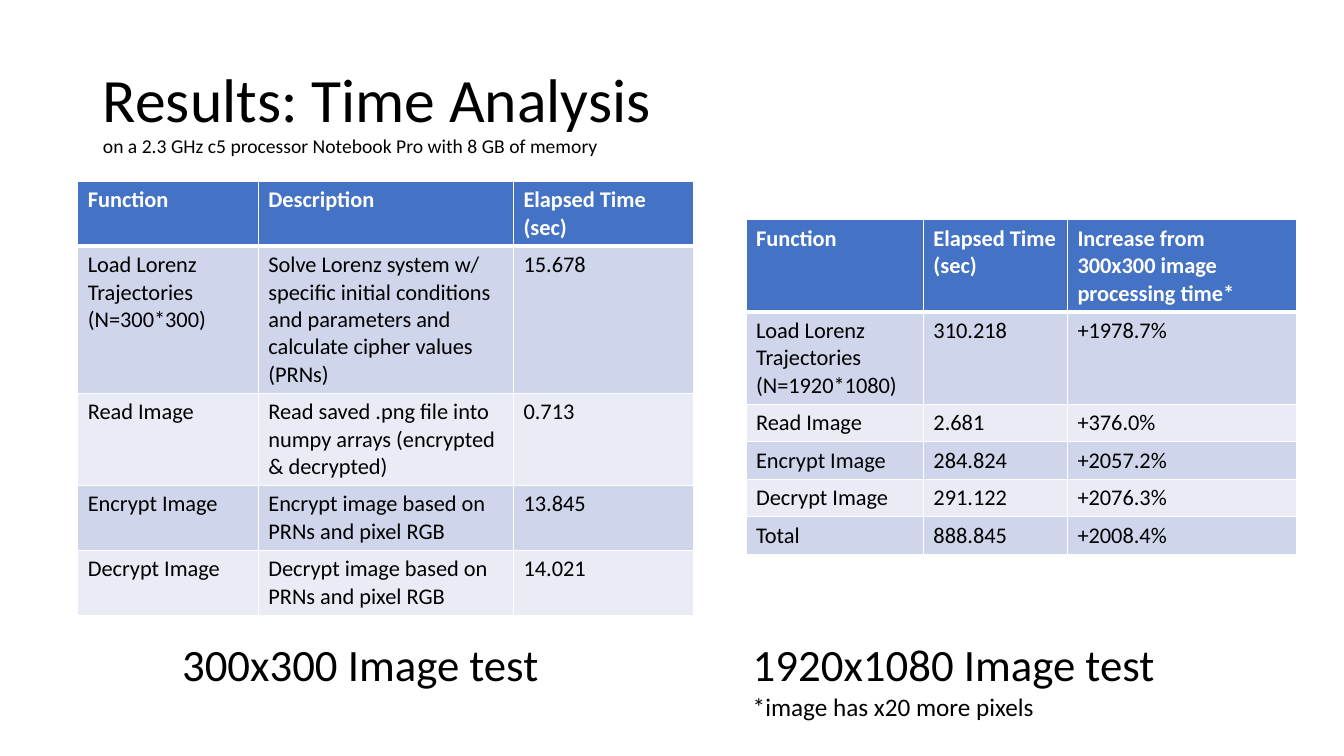
from dataclasses import dataclass

from lxml import etree
from pptx import Presentation
from pptx import util as u
from pptx.dml.color import RGBColor
from pptx.enum import text
from pptx.oxml.ns import qn


@dataclass(frozen=True)
class Theme:
    """Hold the colours, font and type sizes of the slide."""
    font: str = "Calibri"
    ink: str = "000000"
    paper: str = "FFFFFF"
    header: str = "4472C4"
    bands: tuple = ("CFD5EA", "E9EBF5")
    title: int = 44
    subtitle: int = 14
    table: int = 16
    caption: int = 32
    note: int = 18


THEME = Theme()
LINE_HEIGHT = 0.69
CELL_PADDING = 0.25

SMALL_TEST = [
    ("Function", "Description", "Elapsed Time (sec)"),
    ("Load Lorenz Trajectories (N=300*300)",
     "Solve Lorenz system w/ specific initial conditions and parameters "
     "and calculate cipher values (PRNs)", "15.678"),
    ("Read Image", "Read saved .png file into numpy arrays (encrypted & decrypted)", "0.713"),
    ("Encrypt Image", "Encrypt image based on PRNs and pixel RGB", "13.845"),
    ("Decrypt Image", "Decrypt image based on PRNs and pixel RGB", "14.021"),
]
LARGE_TEST = [
    ("Function", "Elapsed Time (sec)", "Increase from 300x300 image processing time*"),
    ("Load Lorenz Trajectories (N=1920*1080)", "310.218", "+1978.7%"),
    ("Read Image", "2.681", "+376.0%"),
    ("Encrypt Image", "284.824", "+2057.2%"),
    ("Decrypt Image", "291.122", "+2076.3%"),
    ("Total", "888.845", "+2008.4%"),
]


def style_run(run, size, colour=THEME.ink, bold=False):
    """Give a run its font, size, colour and weight."""
    run.font.name = THEME.font
    run.font.size = u.Pt(size)
    run.font.bold = bold
    run.font.color.rgb = RGBColor.from_string(colour)


def add_title(slide, left, top, width, height):
    """Fill the title placeholder with a heading and a small second line."""
    title = slide.shapes.title
    title.left, title.top = u.Cm(left), u.Cm(top)
    title.width, title.height = u.Cm(width), u.Cm(height)
    frame = title.text_frame
    frame.text = ("Results: Time Analysis\v"
                  "on a 2.3 GHz c5 processor Notebook Pro with 8 GB of memory")
    frame.word_wrap = True
    frame.auto_size = text.MSO_AUTO_SIZE.NONE
    frame.vertical_anchor = text.MSO_ANCHOR.MIDDLE
    paragraph = frame.paragraphs[0]
    paragraph.alignment = text.PP_ALIGN.LEFT
    paragraph.line_spacing = 0.9
    for run, size in zip(paragraph.runs, (THEME.title, THEME.subtitle)):
        style_run(run, size)


def add_borders(cell, top, bottom):
    """Draw paper-coloured borders, with the given top and bottom widths."""
    properties = cell._tc.get_or_add_tcPr()
    for side, width in (("L", 1), ("R", 1), ("T", top), ("B", bottom)):
        line = etree.SubElement(properties, qn(f"a:ln{side}"), w=str(u.Pt(width)))
        fill = etree.SubElement(line, qn("a:solidFill"))
        etree.SubElement(fill, qn("a:srgbClr"), val=THEME.paper)


def add_results(slide, left, top, widths, line_counts, rows):
    """Place a banded table whose row heights follow their line counts."""
    heights = [count * LINE_HEIGHT + CELL_PADDING for count in line_counts]
    table = slide.shapes.add_table(
        len(rows), len(widths), u.Cm(left), u.Cm(top),
        u.Cm(sum(widths)), u.Cm(sum(heights))).table
    for column, width in zip(table.columns, widths):
        column.width = u.Cm(width)
    for row_index, values in enumerate(rows):
        table.rows[row_index].height = u.Cm(heights[row_index])
        is_header = row_index == 0
        fill = THEME.header if is_header else THEME.bands[(row_index - 1) % 2]
        colour = THEME.paper if is_header else THEME.ink
        for column_index, value in enumerate(values):
            cell = table.cell(row_index, column_index)
            add_borders(cell, 3 if row_index == 1 else 1, 3 if is_header else 1)
            cell.fill.solid()
            cell.fill.fore_color.rgb = RGBColor.from_string(fill)
            cell.text = value
            style_run(cell.text_frame.paragraphs[0].runs[0], THEME.table, colour, is_header)


def add_caption(slide, left, top, width, height, lines):
    """Place a caption whose second line, if any, is a small note."""
    frame = slide.shapes.add_textbox(
        u.Cm(left), u.Cm(top), u.Cm(width), u.Cm(height)).text_frame
    frame.word_wrap = True
    frame.auto_size = text.MSO_AUTO_SIZE.SHAPE_TO_FIT_TEXT
    frame.text = "\n".join(lines)
    for paragraph, size in zip(frame.paragraphs, (THEME.caption, THEME.note)):
        style_run(paragraph.runs[0], size)


def main():
    """Build the time analysis slide and save it."""
    presentation = Presentation()
    presentation.slide_width, presentation.slide_height = u.Cm(33.87), u.Cm(19.05)
    slide = presentation.slides.add_slide(presentation.slide_layouts[5])
    add_title(slide, 2.34, 1.02, 29.21, 3.68)
    add_results(slide, 1.96, 4.57, (4.55, 6.43, 4.55), (2, 5, 3, 2, 2), SMALL_TEST)
    add_results(slide, 18.8, 5.54, (4.47, 3.63, 5.77), (3, 3, 1, 1, 1, 1), LARGE_TEST)
    add_caption(slide, 4.34, 15.93, 10.36, 1.63, ["300x300 Image test"])
    add_caption(slide, 18.72, 15.93, 12.22, 2.49,
                ["1920x1080 Image test", "*image has x20 more pixels"])
    presentation.save("out.pptx")


if __name__ == "__main__":
    main()
